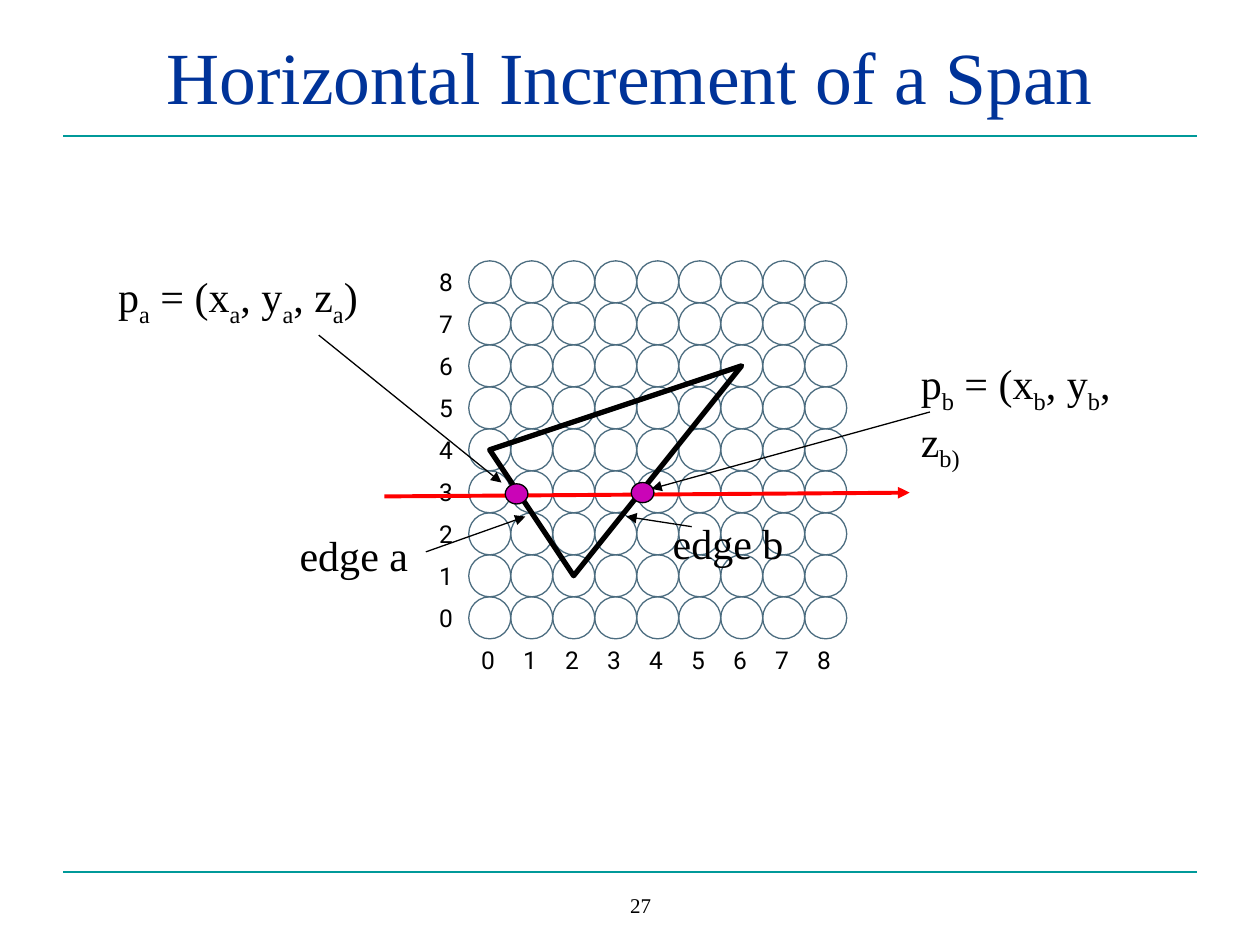
from lxml.etree import SubElement
from pptx import Presentation
from pptx.dml.color import RGBColor
from pptx.enum.shapes import MSO_CONNECTOR, MSO_SHAPE
from pptx.enum.text import MSO_ANCHOR, MSO_AUTO_SIZE, PP_ALIGN
from pptx.oxml.ns import qn
from pptx.util import Inches, Pt

SERIF, SANS = "Times New Roman", "Roboto"
BLACK, NAVY, TEAL, SLATE = "000000", "003399", "009999", "4C6D80"
RED, MAGENTA = "FF0000", "CA04B7"

TITLE = "Horizontal Increment of a Span"
PAGE_NUMBER = "27"
RULES_Y = [1.08, 6.92]

GRID_N, GRID_LEFT, GRID_TOP, PITCH = 9, 3.72, 2.07, 1 / 3
TRIANGLE = [(2, 1), (0, 4), (6, 6)]  # column, row

# box, runs as (text, is subscript)
LABELS = [
    ((5.24, 4.06, 1.08, 0.5), [("edge b", False)]),
    ((2.28, 4.15, 1.06, 0.5), [("edge a", False)]),
    ((0.84, 2.1, 2.1, 0.56),
     [("p", False), ("a", True), (" = (x", False), ("a", True), (", y", False),
      ("a", True), (", z", False), ("a", True), (")", False)]),
    ((7.21, 2.79, 2.06, 0.56),
     [("p", False), ("b", True), (" = (x", False), ("b", True), (", y", False),
      ("b", True), (", z", False), ("b)", True)]),
]
# start, end, colour, width
ARROWS = [
    ((3.05, 3.94), (7.22, 3.91), RED, 2.25),
    ((3.38, 4.38), (4.17, 4.1), BLACK, 0.75),
    ((5.49, 4.18), (4.97, 4.1), BLACK, 0.75),
    ((2.53, 2.66), (3.98, 3.83), BLACK, 0.75),
    ((7.38, 3.27), (5.17, 3.88), BLACK, 0.75),
]
SPAN_ENDS = [(4.01, 3.84), (5.01, 3.83)]


def rgb(color):
    return RGBColor.from_string(color)


def inches(values):
    return [Inches(v) for v in values]


def add_run(p, text, size, font=SERIF, color=BLACK, subscript=False):
    r = p.add_run()
    r.text = text
    r.font.size, r.font.name = Pt(size), font
    r.font.color.rgb = rgb(color)
    if subscript:
        r.font._element.set("baseline", "-25000")


def add_label(s, box, runs, size, font=SERIF):
    tf = s.shapes.add_textbox(*inches(box)).text_frame
    tf.word_wrap = False
    tf.auto_size = MSO_AUTO_SIZE.SHAPE_TO_FIT_TEXT
    for text, subscript in runs:
        add_run(tf.paragraphs[0], text, size, font, subscript=subscript)


def style(sp, line, width, fill=None):
    sp.shadow.inherit = False
    sp.line.color.rgb, sp.line.width = rgb(line), Pt(width)
    if fill:
        sp.fill.solid()
        sp.fill.fore_color.rgb = rgb(fill)
    else:
        sp.fill.background()


def add_ellipse(s, box, line, fill=None):
    style(s.shapes.add_shape(MSO_SHAPE.OVAL, *inches(box)), line, 0.75, fill)


def add_line(s, start, end, color, width, arrow=False):
    line = s.shapes.add_connector(MSO_CONNECTOR.STRAIGHT, *inches(start + end))
    line.line.color.rgb, line.line.width = rgb(color), Pt(width)
    if arrow:
        SubElement(line.line._get_or_add_ln(), qn("a:tailEnd"), type="triangle")
    SubElement(line._element.spPr, qn("a:effectLst"))


def grid_corner(col, row):
    """Top left of a grid cell; row 0 is at the bottom."""
    return GRID_LEFT + col * PITCH, GRID_TOP + (GRID_N - 1 - row) * PITCH


def add_grid(s):
    for row in range(GRID_N):
        for col in range(GRID_N):
            add_ellipse(s, (*grid_corner(col, row), PITCH, PITCH), SLATE)
    for i in range(GRID_N):
        for cell in ((i, -1), (-1, i)):
            add_label(s, (*grid_corner(*cell), 0.31, 0.34), [(str(i), False)], 14, SANS)


def add_triangle(s):
    points = [inches(v + PITCH / 2 for v in grid_corner(*cell)) for cell in TRIANGLE]
    builder = s.shapes.build_freeform(*points[0])
    builder.add_line_segments(points[1:], close=True)
    style(builder.convert_to_shape(), BLACK, 3)


def add_frame(s):
    for y in RULES_Y:
        add_line(s, (0.5, y), (9.5, y), TEAL, 1)
    number = s.shapes.add_textbox(*inches((3.92, 7, 2.33, 0.33)))
    title = s.shapes.title
    title.left, title.top, title.width, title.height = inches((0.5, 0.3, 9, 0.7))
    for sp, text, size, color in ((number, PAGE_NUMBER, 12, BLACK), (title, TITLE, 42, NAVY)):
        tf = sp.text_frame
        tf.word_wrap, tf.auto_size = True, MSO_AUTO_SIZE.NONE
        tf.vertical_anchor = MSO_ANCHOR.BOTTOM
        p = tf.paragraphs[0]
        p.alignment = PP_ALIGN.CENTER
        add_run(p, text, size, color=color)


def main():
    prs = Presentation()
    prs.slide_width, prs.slide_height = Inches(10), Inches(7.5)
    s = prs.slides.add_slide(prs.slide_layouts[5])
    add_frame(s)
    add_grid(s)
    add_triangle(s)
    for box, runs in LABELS:
        add_label(s, box, runs, 24)
    for arrow in ARROWS:
        add_line(s, *arrow, arrow=True)
    for corner in SPAN_ENDS:
        add_ellipse(s, (*corner, 0.18, 0.16), BLACK, MAGENTA)
    prs.save("out.pptx")


if __name__ == "__main__":
    main()
